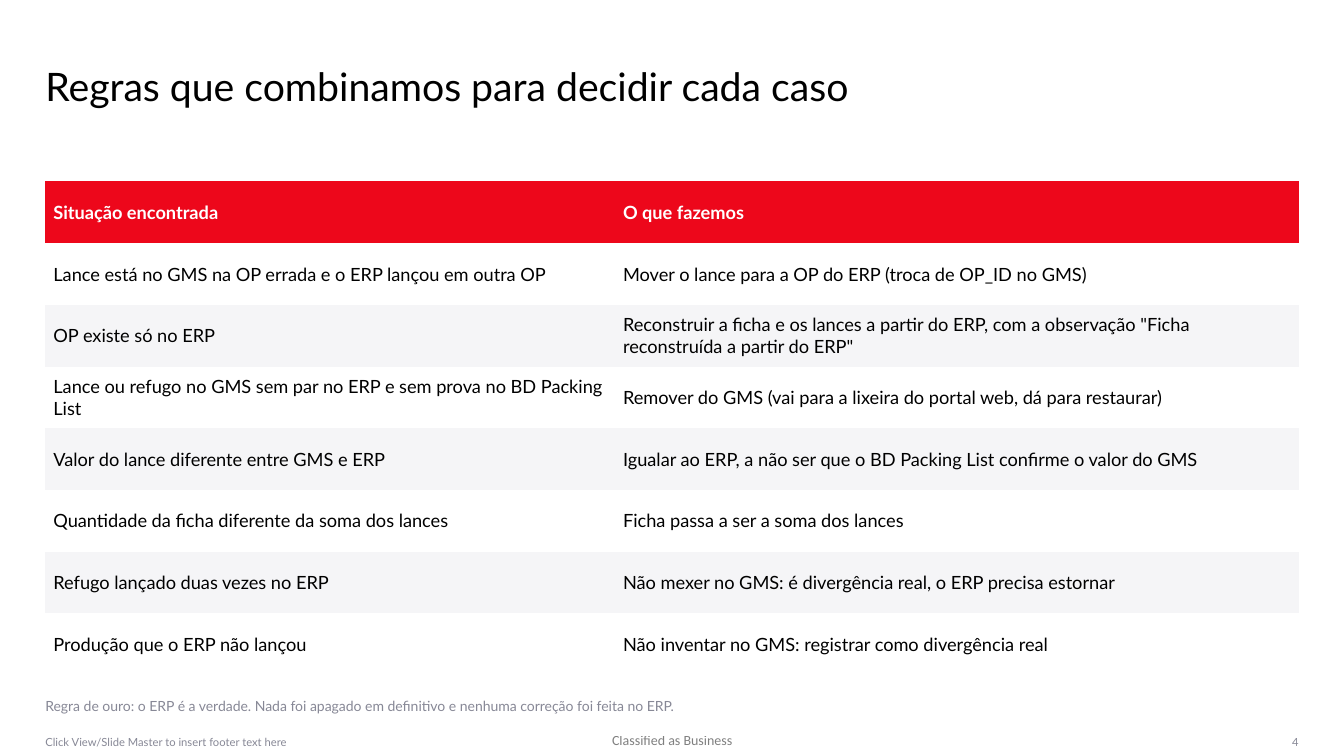
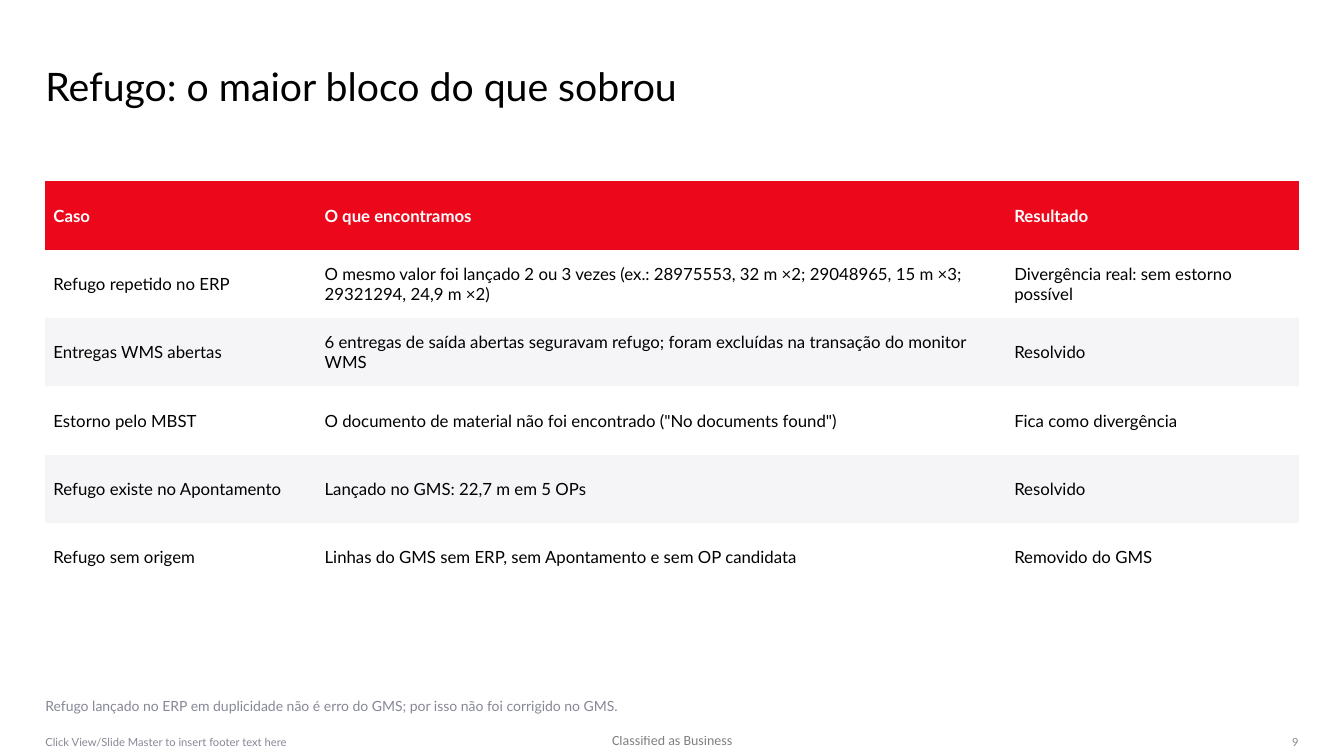
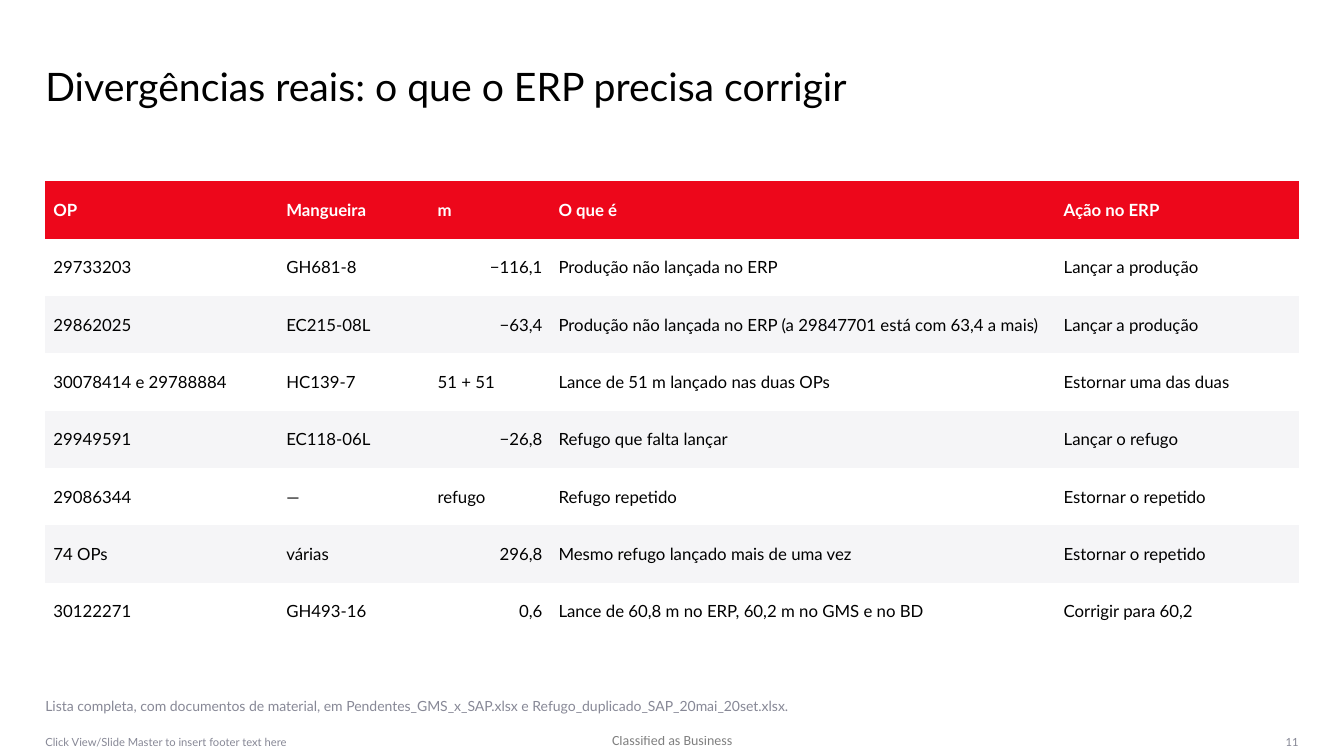
from lxml.etree import SubElement
from pptx import Presentation
from pptx.dml.color import RGBColor
from pptx.enum.text import MSO_ANCHOR, MSO_AUTO_SIZE, PP_ALIGN
from pptx.oxml.ns import qn
from pptx.util import Inches, Pt

RED = RGBColor(0xED, 0x07, 0x1B)
WHITE = RGBColor(0xFF, 0xFF, 0xFF)
BLACK = RGBColor(0x00, 0x00, 0x00)
BAND = RGBColor(0xF5, 0xF5, 0xF7)
GREY = RGBColor(0x87, 0x88, 0x96)

MAIN_FONT = "Lato"
CLASSIFICATION_FONT = "Calibri"
NO_GRID_STYLE = "{2D5ABB26-0587-4C30-8999-92F81FD0307C}"
TITLE_ONLY_LAYOUT = 5

SLIDE_WIDTH = Inches(13.33)
SLIDE_HEIGHT = Inches(7.5)
MARGIN = Inches(0.45)
CONTENT_WIDTH = SLIDE_WIDTH - 2 * MARGIN
TABLE_TOP = Inches(1.8)
NOTE_TOP = Inches(6.92)
FOOTER_TOP = Inches(7.32)
FOOTER_HEIGHT = Inches(0.11)
NUMBER_WIDTH = Inches(0.28)

FOOTER_TEXT = "Click View/Slide Master to insert footer text here"
CLASSIFICATION_TEXT = "Classified as Business"

RULES = [
    ("Situação encontrada", "O que fazemos"),
    ("Lance está no GMS na OP errada e o ERP lançou em outra OP",
     "Mover o lance para a OP do ERP (troca de OP_ID no GMS)"),
    ("OP existe só no ERP",
     'Reconstruir a ficha e os lances a partir do ERP, com a observação "Ficha reconstruída a partir do ERP"'),
    ("Lance ou refugo no GMS sem par no ERP e sem prova no BD Packing List",
     "Remover do GMS (vai para a lixeira do portal web, dá para restaurar)"),
    ("Valor do lance diferente entre GMS e ERP",
     "Igualar ao ERP, a não ser que o BD Packing List confirme o valor do GMS"),
    ("Quantidade da ficha diferente da soma dos lances", "Ficha passa a ser a soma dos lances"),
    ("Refugo lançado duas vezes no ERP",
     "Não mexer no GMS: é divergência real, o ERP precisa estornar"),
    ("Produção que o ERP não lançou", "Não inventar no GMS: registrar como divergência real"),
]

SCRAP_CASES = [
    ("Caso", "O que encontramos", "Resultado"),
    ("Refugo repetido no ERP",
     "O mesmo valor foi lançado 2 ou 3 vezes (ex.: 28975553, 32 m ×2; 29048965, 15 m ×3; 29321294, 24,9 m ×2)",
     "Divergência real: sem estorno possível"),
    ("Entregas WMS abertas",
     "6 entregas de saída abertas seguravam refugo; foram excluídas na transação do monitor WMS",
     "Resolvido"),
    ("Estorno pelo MBST", 'O documento de material não foi encontrado ("No documents found")',
     "Fica como divergência"),
    ("Refugo existe no Apontamento", "Lançado no GMS: 22,7 m em 5 OPs", "Resolvido"),
    ("Refugo sem origem", "Linhas do GMS sem ERP, sem Apontamento e sem OP candidata",
     "Removido do GMS"),
]

DIVERGENCES = [
    ("OP", "Mangueira", "m", "O que é", "Ação no ERP"),
    ("29733203", "GH681-8", "−116,1", "Produção não lançada no ERP", "Lançar a produção"),
    ("29862025", "EC215-08L", "−63,4",
     "Produção não lançada no ERP (a 29847701 está com 63,4 a mais)", "Lançar a produção"),
    ("30078414 e 29788884", "HC139-7", "51 + 51", "Lance de 51 m lançado nas duas OPs",
     "Estornar uma das duas"),
    ("29949591", "EC118-06L", "−26,8", "Refugo que falta lançar", "Lançar o refugo"),
    ("29086344", "—", "refugo", "Refugo repetido", "Estornar o repetido"),
    ("74 OPs", "várias", "296,8", "Mesmo refugo lançado mais de uma vez", "Estornar o repetido"),
    ("30122271", "GH493-16", "0,6", "Lance de 60,8 m no ERP, 60,2 m no GMS e no BD",
     "Corrigir para 60,2"),
]


def style_font(font, size, color, name=MAIN_FONT, bold=False):
    font.name = name
    font.size = Pt(size)
    font.bold = bold
    font.color.rgb = color


def clear_margins(text_frame):
    text_frame.margin_left = text_frame.margin_right = 0
    text_frame.margin_top = text_frame.margin_bottom = 0
    text_frame.word_wrap = True


def add_text(slide, text, left, top, width, height, size, color=GREY, name=MAIN_FONT):
    """Add a one-line text box and return its paragraph."""
    text_frame = slide.shapes.add_textbox(left, top, width, height).text_frame
    clear_margins(text_frame)
    text_frame.auto_size = MSO_AUTO_SIZE.SHAPE_TO_FIT_TEXT
    text_frame.text = text
    paragraph = text_frame.paragraphs[0]
    style_font(paragraph.runs[0].font, size, color, name)
    return paragraph


def add_title(slide, text):
    title = slide.shapes.title
    title.left, title.top = MARGIN, Inches(0.65)
    title.width, title.height = Inches(9.27), Inches(0.88)
    text_frame = title.text_frame
    clear_margins(text_frame)
    text_frame.auto_size = MSO_AUTO_SIZE.NONE
    text_frame.vertical_anchor = MSO_ANCHOR.TOP
    text_frame.text = text
    paragraph = text_frame.paragraphs[0]
    paragraph.alignment = PP_ALIGN.LEFT
    paragraph.line_spacing = 0.95
    style_font(paragraph.runs[0].font, 28, BLACK)


def add_footer(slide, number):
    footer_items = [
        (number, SLIDE_WIDTH - MARGIN - NUMBER_WIDTH, NUMBER_WIDTH, PP_ALIGN.RIGHT),
        (FOOTER_TEXT, MARGIN, Inches(6.1), PP_ALIGN.LEFT),
    ]
    for text, left, width, alignment in footer_items:
        paragraph = add_text(slide, text, left, FOOTER_TOP, width, FOOTER_HEIGHT, 8)
        paragraph.alignment = alignment
        paragraph.line_spacing = 0.83
    classification = add_text(slide, CLASSIFICATION_TEXT, Inches(6.07), Inches(7.26),
                              Inches(1.22), Inches(0.17), 10, BLACK, CLASSIFICATION_FONT)
    set_half_transparent(classification.runs[0])


def set_half_transparent(run):
    color = next(run.font._element.iter(qn("a:srgbClr")))
    SubElement(color, qn("a:alpha")).set("val", "50000")


def is_decimal(text):
    return "," in text and text.lstrip("−").replace(",", "").isdigit()


def fill_cell(cell, text, row_index, size):
    is_header = row_index == 0
    cell.fill.solid()
    cell.fill.fore_color.rgb = RED if is_header else (BAND if row_index % 2 == 0 else WHITE)
    cell.vertical_anchor = MSO_ANCHOR.MIDDLE
    cell.margin_left = cell.margin_right = Inches(0.08)
    cell.margin_top = cell.margin_bottom = Inches(0.04)
    cell.text_frame.text = text
    paragraph = cell.text_frame.paragraphs[0]
    if is_decimal(text):
        paragraph.alignment = PP_ALIGN.RIGHT
    style_font(paragraph.runs[0].font, size, WHITE if is_header else BLACK, bold=is_header)


def add_banded_table(slide, rows, column_widths, height, size):
    """Add a table with equal rows; column widths and height are in inches."""
    table = slide.shapes.add_table(len(rows), len(column_widths), MARGIN, TABLE_TOP,
                                   CONTENT_WIDTH, Inches(height)).table
    table._tbl.tblPr.find(qn("a:tableStyleId")).text = NO_GRID_STYLE
    table.horz_banding = False
    for column, width in zip(table.columns, column_widths):
        column.width = Inches(width)
    for row_index, texts in enumerate(rows):
        table.rows[row_index].height = Inches(height / len(rows))
        for column_index, text in enumerate(texts):
            fill_cell(table.cell(row_index, column_index), text, row_index, size)


def add_table_slide(presentation, number, title, rows, column_widths, height, size, note):
    slide = presentation.slides.add_slide(presentation.slide_layouts[TITLE_ONLY_LAYOUT])
    add_footer(slide, number)
    add_title(slide, title)
    add_banded_table(slide, rows, column_widths, height, size)
    paragraph = add_text(slide, note, MARGIN, NOTE_TOP, CONTENT_WIDTH, Inches(0.27), 10)
    paragraph.space_after = Pt(4)


def main():
    presentation = Presentation()
    presentation.slide_width = SLIDE_WIDTH
    presentation.slide_height = SLIDE_HEIGHT
    add_table_slide(
        presentation, "4", "Regras que combinamos para decidir cada caso",
        RULES, (5.65, 6.78), 4.9, 13,
        "Regra de ouro: o ERP é a verdade. Nada foi apagado em definitivo e nenhuma correção foi feita no ERP.")
    add_table_slide(
        presentation, "9", "Refugo: o maior bloco do que sobrou",
        SCRAP_CASES, (2.69, 6.84, 2.9), 4.07, 12,
        "Refugo lançado no ERP em duplicidade não é erro do GMS; por isso não foi corrigido no GMS.")
    add_table_slide(
        presentation, "11", "Divergências reais: o que o ERP precisa corrigir",
        DIVERGENCES, (2.31, 1.5, 1.2, 5.01, 2.41), 4.55, 12,
        "Lista completa, com documentos de material, em Pendentes_GMS_x_SAP.xlsx e "
        "Refugo_duplicado_SAP_20mai_20set.xlsx.")
    presentation.save("out.pptx")


if __name__ == "__main__":
    main()
